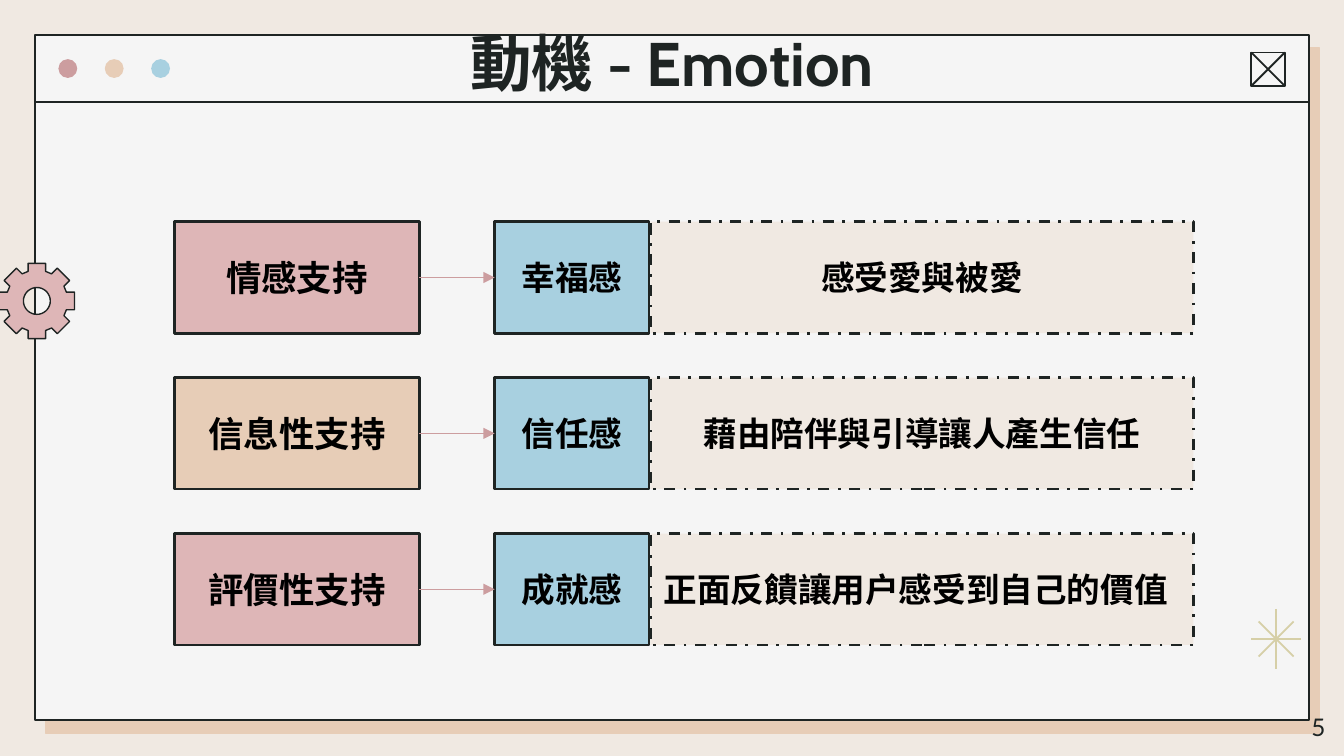
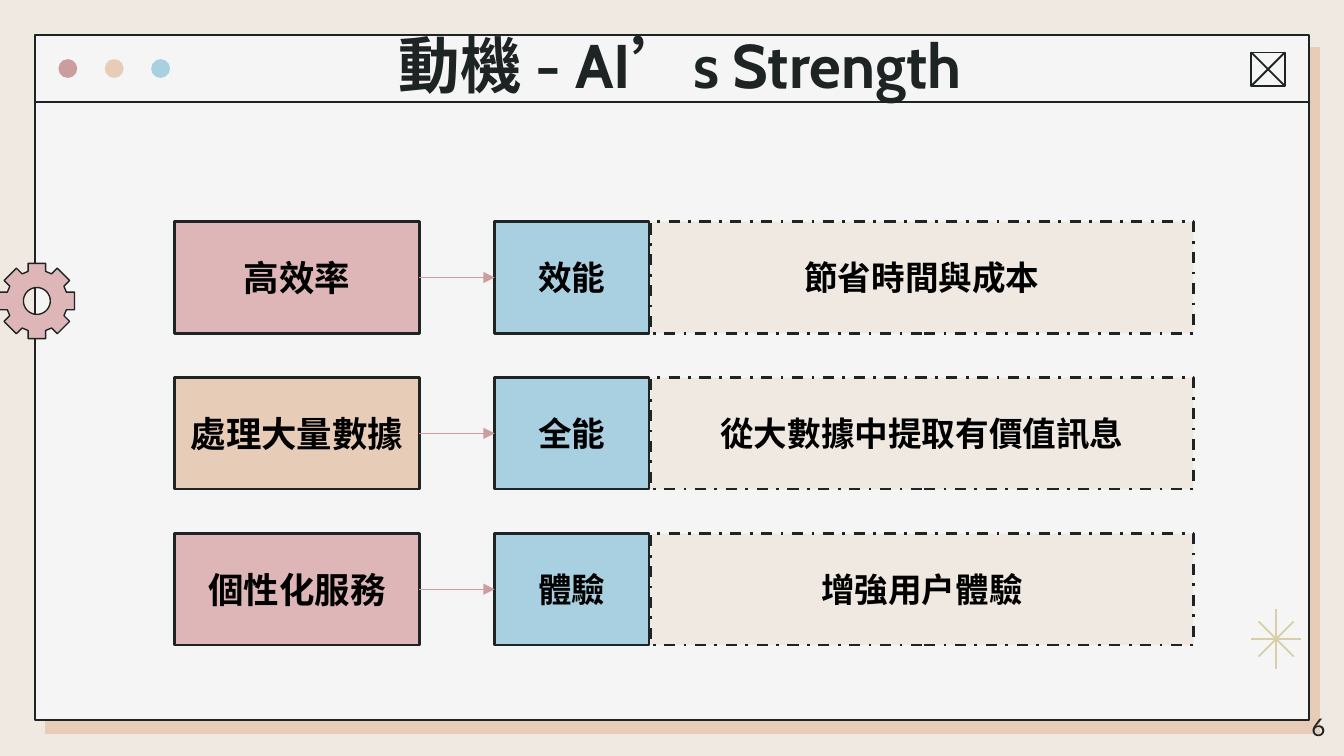
from math import cos, pi, sin

from lxml import etree
from pptx import Presentation
from pptx.dml.color import RGBColor
from pptx.enum.dml import MSO_LINE
from pptx.enum.shapes import MSO_CONNECTOR, MSO_SHAPE
from pptx.enum.text import MSO_ANCHOR, MSO_AUTO_SIZE, PP_ALIGN
from pptx.oxml.ns import qn
from pptx.util import Inches, Pt

RECTANGLE, OVAL = MSO_SHAPE.RECTANGLE, MSO_SHAPE.OVAL
STRAIGHT = MSO_CONNECTOR.STRAIGHT
DASH_DOT = MSO_LINE.DASH_DOT
LEFT, CENTER, RIGHT = PP_ALIGN.LEFT, PP_ALIGN.CENTER, PP_ALIGN.RIGHT
TOP, MIDDLE = MSO_ANCHOR.TOP, MSO_ANCHOR.MIDDLE
NO_FIT = MSO_AUTO_SIZE.NONE
RIGHT_SIDE, LEFT_SIDE = 3, 1

INK, BLACK, PAPER, CREAM = "1E2423", "000000", "F5F5F5", "F0E9E2"
ROSE, PINK, PEACH, BLUE, OLIVE = "CC9D9F", "DEB6B7", "E7CDB7", "A8D0E0", "D6CFA7"
COLUMNS = 100  # square grid cells across the slide; 56.25 rows fit below
TITLE_ONLY = 5


def color(value):
    return RGBColor.from_string(value)


def add_xml(parent, tag, **attributes):
    return etree.SubElement(parent, qn(tag), attributes)


def write(frame, text, size=18, font="Arial", ink=BLACK, bold=True,
          align=CENTER, anchor=MIDDLE, spacing=1.0):
    frame.word_wrap = True
    frame.auto_size = NO_FIT
    frame.vertical_anchor = anchor
    frame.margin_left = frame.margin_right = Inches(0.1)
    frame.margin_top = frame.margin_bottom = Inches(0.1)
    para = frame.paragraphs[0]
    para.alignment, para.line_spacing = align, spacing
    span = para.add_run()
    span.text = text
    span.font.name, span.font.size, span.font.bold = font, Pt(size), bold
    span.font.color.rgb = color(ink)
    add_xml(span.font._element, "a:ea", typeface="Noto Sans CJK TC")


class Board:
    """Holds the deck, its grid and the current page."""

    def __init__(self):
        self.deck = Presentation()
        self.deck.slide_width, self.deck.slide_height = Inches(10), Inches(5.625)
        self.cell = self.deck.slide_width / COLUMNS
        self.page = None

    def grid(self, *cells):
        return [round(value * self.cell) for value in cells]

    def paint(self, shape, fill, line, weight, dash=None):
        shape.shadow.inherit = False
        if fill:
            shape.fill.solid()
            shape.fill.fore_color.rgb = color(fill)
        else:
            shape.fill.background()
        if line:
            shape.line.color.rgb = color(line)
            shape.line.width = Pt(weight)
            if dash:
                shape.line.dash_style = dash
        else:
            shape.line.fill.background()
        return shape

    def box(self, at, fill=None, line=INK, weight=1, kind=RECTANGLE, dash=None):
        shape = self.page.shapes.add_shape(kind, *self.grid(*at))
        return self.paint(shape, fill, line, weight, dash)

    def line(self, ends, ink=INK, weight=1):
        connector = self.page.shapes.add_connector(STRAIGHT, *self.grid(*ends))
        connector.line.color.rgb = color(ink)
        connector.line.width = Pt(weight)
        add_xml(connector._element.spPr, "a:effectLst")
        return connector

    def arrow(self, source, target):
        connector = self.line((0, 0, 0, 0), ROSE, 0.75)
        connector.begin_connect(source, RIGHT_SIDE)
        connector.end_connect(target, LEFT_SIDE)
        add_xml(connector.line._get_or_add_ln(), "a:tailEnd", type="triangle")

    def gear(self, x, y, radius=2.8, root=2.2, half_tooth=0.65, hole=1):
        teeth = []
        profile = [(-half_tooth, -root), (-half_tooth, -radius),
                   (half_tooth, -radius), (half_tooth, -root)]
        for tooth in range(8):
            turn = tooth * pi / 4
            teeth += [self.grid(x + dx * cos(turn) - dy * sin(turn),
                                y + dx * sin(turn) + dy * cos(turn))
                      for dx, dy in profile]
        ring = [self.grid(x + hole * cos(step * pi / 18), y - hole * sin(step * pi / 18))
                for step in range(36)]
        builder = self.page.shapes.build_freeform(*teeth[0])
        builder.add_line_segments(teeth[1:], close=True)
        builder.move_to(*ring[0])
        builder.add_line_segments(ring[1:], close=True)
        self.paint(builder.convert_to_shape(), PINK, INK, 0.75)

    def window(self):
        frame = self.box((2.6, 2.6, 94.8, 51), PAPER)
        effects = frame._element.spPr.find(qn("a:effectLst"))
        shadow = add_xml(effects, "a:outerShdw", dist=str(Pt(9)), dir=str(51 * 60000),
                         algn="bl", rotWithShape="0")
        add_xml(shadow, "a:srgbClr", val=PEACH)
        self.line((2.6, 7.6, 97.4, 7.6))
        for index, fill in enumerate((ROSE, PEACH, BLUE)):
            self.box((4.35 + index * 3.45, 4.4, 1.4, 1.4), fill, None, kind=OVAL)
        # Close button
        left, top, side = 93.1, 3.9, 2.5
        self.box((left, top, side, side))
        self.line((left, top, left + side, top + side))
        self.line((left + side, top, left, top + side))

    def star(self, x, y):
        for dx, dy in ((0, 2.25), (1.85, 0), (1.3, -1.3), (1.3, 1.3)):
            self.line((x - dx, y - dy, x + dx, y + dy), OLIVE)

    def start(self, title, title_at, number):
        self.page = self.deck.slides.add_slide(self.deck.slide_layouts[TITLE_ONLY])
        background = self.page.background.fill
        background.solid()
        background.fore_color.rgb = color(CREAM)
        self.window()
        self.gear(2.75, 22.4)
        self.star(94.95, 47.55)
        # Title, brought in front of the window
        heading = self.page.shapes.title
        heading.left, heading.top, heading.width, heading.height = self.grid(*title_at)
        write(heading.text_frame, title, size=33, font="Cabin", ink=INK,
              anchor=TOP, spacing=0.9)
        self.page.shapes._spTree.append(heading._element)
        label = self.page.shapes.add_textbox(*self.grid(93.6, 51.9, 6, 4.3))
        write(label.text_frame, str(number), size=13, font="Lato", ink=INK,
              bold=False, align=RIGHT)

    def chain(self, row, cause, feeling, detail, align=CENTER):
        top, height = 16.5 + row * 11.6, 8.3
        source = self.box((13, top, 18.2, height), (PINK, PEACH)[row % 2], weight=1.5)
        write(source.text_frame, cause, size=19)
        target = self.box((36.8, top, 11.5, height), BLUE, weight=1.5)
        write(target.text_frame, feeling, font="Cabin")
        note = self.box((48.4, top, 40.4, height), CREAM, weight=1.5, dash=DASH_DOT)
        write(note.text_frame, detail, align=align)
        self.arrow(source, target)


PAGES = [
    ("動機 - Emotion", (29.8, 1.5, 40.4, 6.3), [
        ("情感支持", "幸福感", "感受愛與被愛"),
        ("信息性支持", "信任感", "藉由陪伴與引導讓人產生信任"),
        ("評價性支持", "成就感", "正面反饋讓用戶感受到自己的價值", LEFT),
    ]),
    ("動機 - AI’s Strength", (20.1, 1.6, 61, 6.3), [
        ("高效率", "效能", "節省時間與成本"),
        ("處理大量數據", "全能", "從大數據中提取有價值訊息"),
        ("個性化服務", "體驗", "增強用戶體驗"),
    ]),
]


def main():
    board = Board()
    for number, (title, title_at, chains) in enumerate(PAGES, start=5):
        board.start(title, title_at, number)
        for row, chain in enumerate(chains):
            board.chain(row, *chain)
    board.deck.save("out.pptx")


if __name__ == "__main__":
    main()
